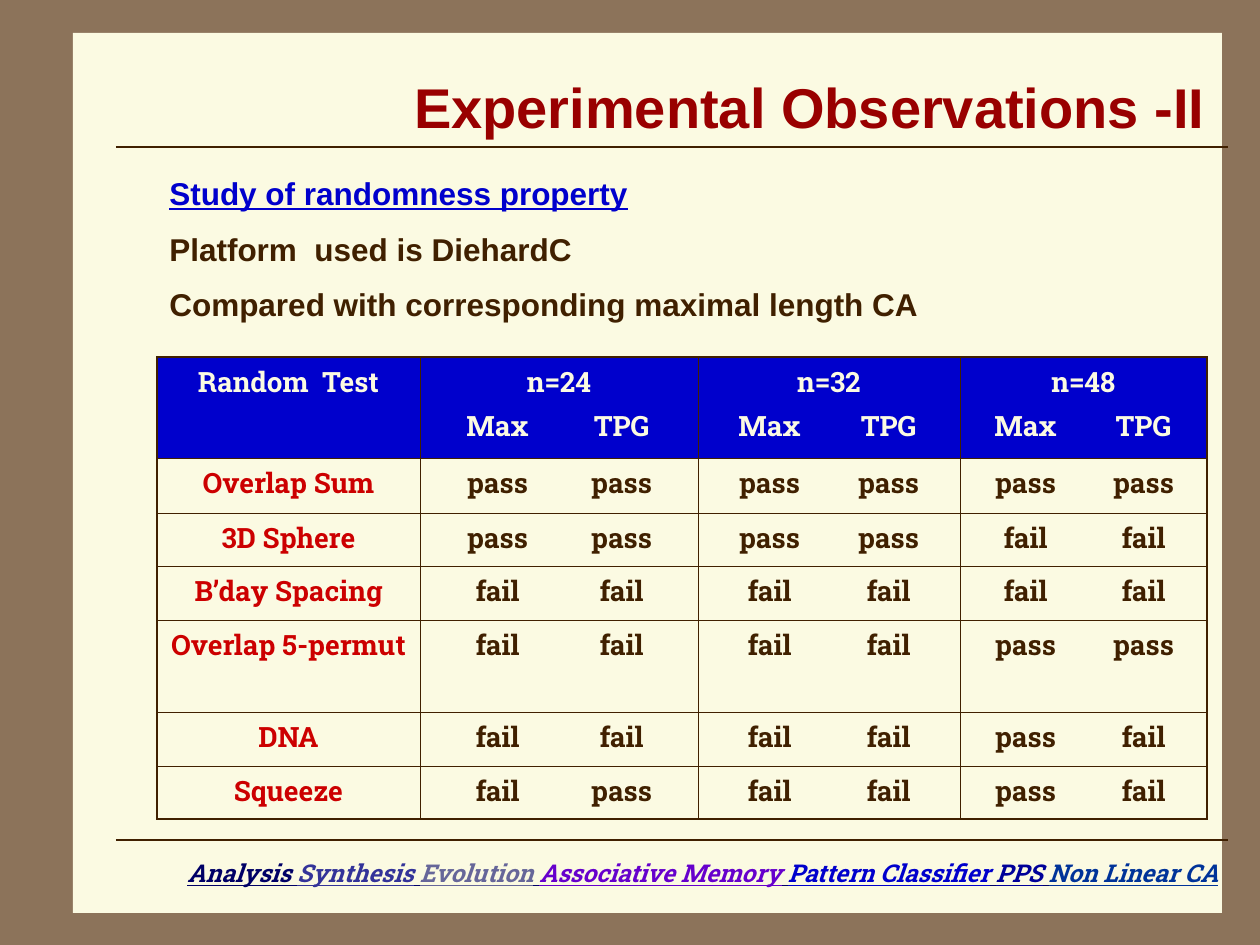
import pptx
import pptx.util
import pptx.dml.color
import pptx.enum.shapes
import pptx.enum.text
import pptx.oxml.ns
import lxml.etree

PX = 914400 / 126
qn = pptx.oxml.ns.qn
ALIGN = pptx.enum.text.PP_ALIGN
BROWN, CREAM, BLUE = "402000", "FBFAE2", "0000CC"


def paint(target, color):
    if hasattr(target, "solid"):
        target.solid()
        target = target.fore_color
    target.rgb = pptx.dml.color.RGBColor.from_string(color)


def write(p, text, size=16, color=BROWN, font="Roboto Slab", align=ALIGN.LEFT,
          before=0, italic=False, underline=False, tabs=()):
    p.alignment = align
    if before:
        p.space_before = pptx.util.Pt(before)
    if tabs:
        tab_list = lxml.etree.SubElement(p._p.get_or_add_pPr(), qn("a:tabLst"))
        for x in tabs:
            lxml.etree.SubElement(tab_list, qn("a:tab"), pos=str(round(x * PX)), algn="ctr")
    r = p.add_run()
    r.text = text
    r.font.size = pptx.util.Pt(size)
    r.font.name = font
    r.font.bold = True
    r.font.italic = italic
    r.font.underline = underline
    paint(r.font.color, color)


prs = pptx.Presentation()
prs.slide_width = round(1260 * PX)
prs.slide_height = round(945 * PX)
s = prs.slides.add_slide(prs.slide_layouts[6])
paint(s.background.fill, "8C735A")

panel_box = [round(v * PX) for v in (73, 33, 1149, 880)]
panel = s.shapes.add_shape(pptx.enum.shapes.MSO_SHAPE.RECTANGLE, *panel_box)
panel.shadow.inherit = False
paint(panel.fill, CREAM)
panel.line.fill.background()

for y in (147, 840):
    ends = [round(v * PX) for v in (116, y, 1228, y)]
    rule = s.shapes.add_connector(pptx.enum.shapes.MSO_CONNECTOR.STRAIGHT, *ends)
    rule.line.width = pptx.util.Pt(1)
    paint(rule.line.fill, BROWN)
    lxml.etree.SubElement(rule._element.spPr, qn("a:effectLst"))

frames = []
for box in ((76, 852, 1155, 72), (126, 53, 1092, 107), (157, 168, 1061, 158)):
    sp = s.shapes.add_textbox(*[round(v * PX) for v in box])
    sp.text_frame.word_wrap = True
    frames.append(sp.text_frame)
footer, title, body = frames

topics = [("Analysis", "000066"), ("Synthesis", "333399"), ("Evolution", "666699"),
          ("Associative Memory", "6600CC"), ("Pattern Classifier", BLUE),
          ("PPS", "000099"), ("Non Linear CA", "003399")]
for i, (topic, color) in enumerate(topics):
    if i:
        write(footer.paragraphs[0], " ", size=14, color="000066", align=ALIGN.RIGHT,
              italic=True, underline=True)
    write(footer.paragraphs[0], topic, size=14, color=color, align=ALIGN.RIGHT,
          italic=True, underline=True)

title.vertical_anchor = pptx.enum.text.MSO_ANCHOR.MIDDLE
write(title.paragraphs[0], "Experimental Observations -II", size=32, color="990000",
      font="Arial", align=ALIGN.RIGHT)

write(body.paragraphs[0], "Study of randomness property", size=18, color=BLUE,
      font="Arial", underline=True)
for text in ("Platform  used is DiehardC", "Compared with corresponding maximal length CA"):
    write(body.add_paragraph(), text, size=18, font="Arial", before=10)

widths = [263, 278, 262, 247]
heights = [101, 55, 53, 54, 92, 54, 53]
tab_stops = [(), (65, 189), (59, 178), (53, 171)]
rows = [
    ("Random  Test", "n=24", "n=32", "n=48"),
    ("Overlap Sum", "pass pass", "pass pass", "pass pass"),
    ("3D Sphere", "pass pass", "pass pass", "fail fail"),
    ("B’day Spacing", "fail fail", "fail fail", "fail fail"),
    ("Overlap 5-permut", "fail fail", "fail fail", "pass pass"),
    ("DNA", "fail fail", "fail fail", "pass fail"),
    ("Squeeze", "fail pass", "fail fail", "pass fail"),
]
table_box = [round(v * PX) for v in (157, 357, sum(widths), sum(heights))]
table = s.shapes.add_table(len(rows), len(widths), *table_box).table
table.first_row = table.horz_banding = False
for column, width in zip(table.columns, widths):
    column.width = round(width * PX)
for row, height in zip(table.rows, heights):
    row.height = round(height * PX)

for i, row in enumerate(rows):
    for j, text in enumerate(row):
        cell = table.cell(i, j)
        p = cell.text_frame.paragraphs[0]
        if i == 0:
            paint(cell.fill, BLUE)
            write(p, text, color=CREAM, align=ALIGN.CENTER)
            if j:
                write(cell.text_frame.add_paragraph(), "\tMax\tTPG", color=CREAM,
                      before=4, tabs=tab_stops[j])
        else:
            cell.fill.background()
            if j:
                write(p, "\t" + text.replace(" ", "\t"), tabs=tab_stops[j])
            else:
                write(p, text, color="CC0000", align=ALIGN.CENTER)
        outer = {"L": j == 0, "R": j == len(widths) - 1, "T": i == 0, "B": i == len(rows) - 1}
        tcPr = cell._tc.get_or_add_tcPr()
        for k, (side, is_outer) in enumerate(outer.items()):
            width = pptx.util.Pt(1.08 if is_outer else 0.45)
            ln = lxml.etree.Element(qn("a:ln" + side), w=str(width))
            fill = lxml.etree.SubElement(ln, qn("a:solidFill"))
            lxml.etree.SubElement(fill, qn("a:srgbClr"), val=BROWN)
            tcPr.insert(k, ln)

prs.save("out.pptx")
